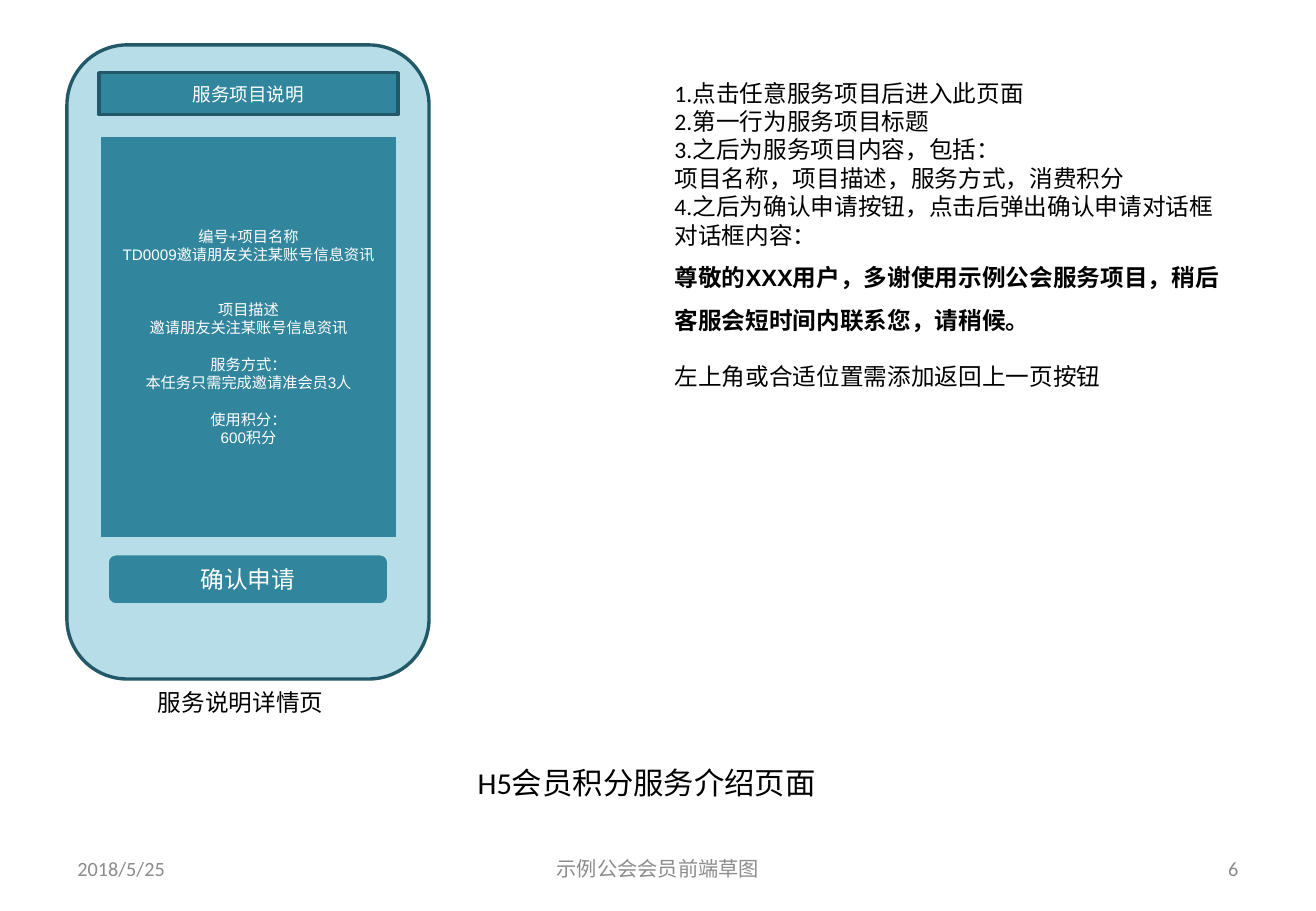
from dataclasses import dataclass

from pptx import Presentation
from pptx.dml.color import RGBColor
from pptx.enum.shapes import MSO_SHAPE
from pptx.enum.text import MSO_ANCHOR, MSO_AUTO_SIZE, PP_ALIGN
from pptx.util import Cm, Pt

BLACK, WHITE, GREY = "000000", "FFFFFF", "8C8C8C"
PALE, TEAL, DARK = "B7DEE8", "31859C", "215968"
LEFT, MID, RIGHT = PP_ALIGN.LEFT, PP_ALIGN.CENTER, PP_ALIGN.RIGHT
TOP, CENTRE = MSO_ANCHOR.TOP, MSO_ANCHOR.MIDDLE
RECT, ROUND = MSO_SHAPE.RECTANGLE, MSO_SHAPE.ROUNDED_RECTANGLE


@dataclass(frozen=True)
class Line:
    """One paragraph: its words, the gap above in points, and its weight."""
    text: str
    gap: float = 0
    font: str = "Calibri"
    bold: bool = False
    pitch: float = 1.0


@dataclass(frozen=True)
class Style:
    """The look shared by all lines of one text."""
    size: float
    color: str = BLACK
    align: PP_ALIGN = LEFT
    anchor: MSO_ANCHOR = TOP


@dataclass(frozen=True)
class Part:
    """A filled piece of the phone sketch; the box is in centimetres."""
    kind: MSO_SHAPE
    box: tuple[float, float, float, float]
    fill: str
    edge: str
    size: float = 11
    lines: tuple[Line, ...] = ()


@dataclass(frozen=True)
class Label:
    """A plain text box; the box is in centimetres."""
    box: tuple[float, float, float, float]
    style: Style
    lines: tuple[Line, ...]


def paint(code: str) -> RGBColor:
    """Turn a hex string into a colour."""
    return RGBColor.from_string(code)


def write(frame, lines: tuple[Line, ...], style: Style) -> None:
    """Fill a text frame with styled lines."""
    frame.word_wrap = True
    frame.auto_size = MSO_AUTO_SIZE.NONE
    frame.vertical_anchor = style.anchor
    for index, line in enumerate(lines):
        para = frame.add_paragraph() if index else frame.paragraphs[0]
        para.alignment = style.align
        para.space_before = Pt(line.gap)
        para.line_spacing = line.pitch
        run = para.add_run()
        run.text = line.text
        font = run.font
        font.name, font.size, font.bold = line.font, Pt(style.size), line.bold
        font.color.rgb = paint(style.color)


def draw(slide, part: Part) -> None:
    """Add one phone part."""
    shape = slide.shapes.add_shape(part.kind, *map(Cm, part.box))
    shape.shadow.inherit = False
    shape.fill.solid()
    shape.fill.fore_color.rgb = paint(part.fill)
    shape.line.color.rgb = paint(part.edge)
    shape.line.width = Pt(2)
    write(shape.text_frame, part.lines, Style(part.size, WHITE, MID, CENTRE))


def label(slide, item: Label) -> None:
    """Add one text box."""
    box = slide.shapes.add_textbox(*map(Cm, item.box))
    write(box.text_frame, item.lines, item.style)


def head(slide, text: str) -> None:
    """Move and format the title placeholder."""
    title = slide.shapes.title
    title.left, title.top, title.width, title.height = map(
        Cm, (9.73, 15.85, 8.23, 1.02))
    write(title.text_frame, (Line(text),), Style(18))


DETAIL = tuple(Line(text, gap, "Arial") for text, gap in (
    ("编号+项目名称", 0),
    ("TD0009邀请朋友关注某账号信息资讯", 0),
    ("项目描述", 21.7),
    ("邀请朋友关注某账号信息资讯", 0),
    ("服务方式：", 10.8),
    ("本任务只需完成邀请准会员3人", 0),
    ("使用积分：", 10.8),
    ("600积分", 0),
))

PHONE = (
    Part(ROUND, (1.4, 0.94, 7.57, 13.26), PALE, DARK),
    Part(RECT, (2.07, 1.52, 6.25, 0.88), TEAL, DARK, 11,
         (Line("服务项目说明"),)),
    Part(RECT, (2.07, 2.83, 6.25, 8.43), TEAL, PALE, 9, DETAIL),
    Part(ROUND, (2.24, 11.58, 5.89, 1.07), TEAL, PALE, 14,
         (Line("确认申请"),)),
)

NOTES = (
    Line("1.点击任意服务项目后进入此页面"),
    Line("2.第一行为服务项目标题"),
    Line("3.之后为服务项目内容，包括："),
    Line("项目名称，项目描述，服务方式，消费积分"),
    Line("4.之后为确认申请按钮，点击后弹出确认申请对话框"),
    Line("对话框内容："),
    Line("尊敬的XXX用户，多谢使用示例公会服务项目，稍后客服会短时间内联系您，请稍候。",
         font="Arial", bold=True, pitch=1.5),
    Line("左上角或合适位置需添加返回上一页按钮", 16.8),
)

LABELS = (
    Label((1.91, 14.27, 6.25, 0.86), Style(14, align=MID),
          (Line("服务说明详情页"),)),
    Label((13.85, 1.52, 12.12, 6.83), Style(14), NOTES),
) + tuple(
    Label((left, 17.65, width, 1.02), Style(12, GREY, align, CENTRE),
          (Line(text),))
    for left, width, align, text in (
        (1.37, 6.43, LEFT, "2018/5/25"),
        (9.4, 8.71, MID, "示例公会会员前端草图"),
        (19.71, 6.43, RIGHT, "6"),
    )
)


def main() -> None:
    """Build and save the slide."""
    deck = Presentation()
    deck.slide_width, deck.slide_height = Cm(27.51), Cm(19.05)
    slide = deck.slides.add_slide(deck.slide_layouts.get_by_name("Title Only"))
    head(slide, "H5会员积分服务介绍页面")
    for part in PHONE:
        draw(slide, part)
    for item in LABELS:
        label(slide, item)
    deck.save("out.pptx")


if __name__ == "__main__":
    main()
